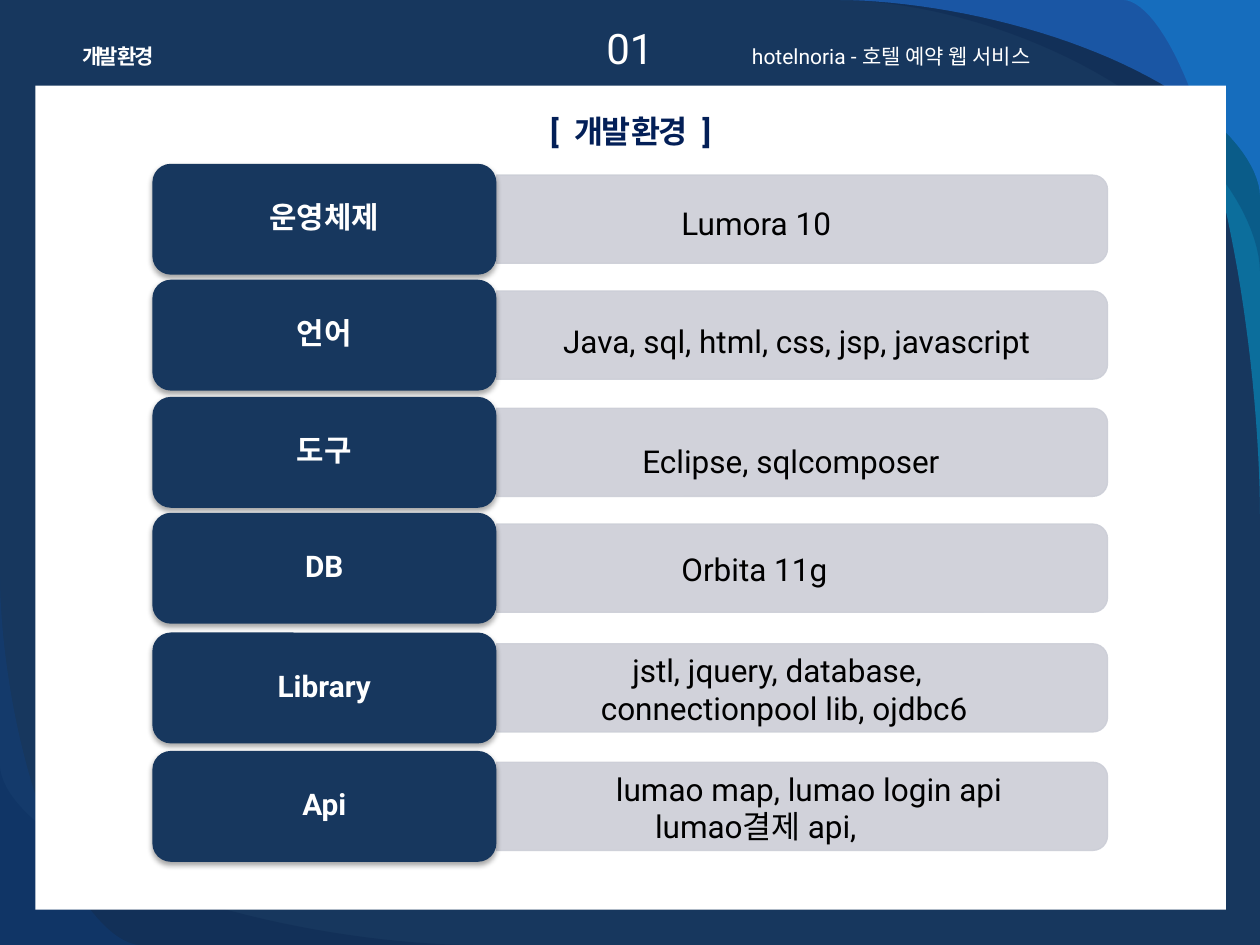
from dataclasses import dataclass
from math import cos, pi, sin

from lxml import etree
from pptx import Presentation
from pptx import util as u
from pptx.dml.color import RGBColor
from pptx.enum import shapes, text
from pptx.oxml.ns import qn


@dataclass(frozen=True)
class Theme:
    font: str = "Roboto"
    navy: str = "17375E"
    ink: str = "021741"
    title: str = "031F57"
    teal: str = "00B1E9"
    blue: str = "247FF4"
    royal: str = "084AA1"
    bar: str = "CCCED7"
    white: str = "FFFFFF"
    black: str = "000000"
    header_size: int = 12
    label_size: int = 17
    body_size: int = 18
    number_size: int = 24


THEME = Theme()
WIDTH, HEIGHT = 10, 7.5
CENTER = text.PP_ALIGN.CENTER
CURVE_POWER = 1.75
CURVE_STEPS = 40
TAB_LEFT, TAB_WIDTH, TAB_HEIGHT = 1.21, 2.73, 0.88
BAR_WIDTH, BAR_HEIGHT = 4.85, 0.7

# Corner x, corner y, width, height, colour, opacity in percent
SWEEPS = [
    (WIDTH, 0, 1.08, 4.08, THEME.teal, 45),
    (WIDTH, 0, 3.33, 2.15, THEME.ink, 20),
    (WIDTH, 0, 3.33, 1.55, THEME.blue, 49),
    (0, HEIGHT, 3.75, 1.42, THEME.ink, 20),
    (0, HEIGHT, 1.11, 2.92, THEME.royal, 20),
]

# Label, top of tab, place of the text, lines as (first-line indent, words)
ROWS = [
    ("운영체제", 1.3, (5.31, 1.57, 1.97, 0.4), [(0, "Lumora 10")]),
    ("언어", 2.22, (4.37, 2.51, 4.09, 0.4),
     [(0, "Java, sql, html, css, jsp, javascript")]),
    ("도구", 3.15, (5, 3.46, 2.6, 0.4), [(0, "Eclipse, sqlcomposer")]),
    ("DB", 4.07, (5.31, 4.32, 1.97, 0.4), [(0, "Orbita 11g")]),
    ("Library", 5.02, (4.67, 5.12, 3.54, 0.7),
     [(0.25, "jstl, jquery, database, connectionpool lib, ojdbc6")]),
    ("Api", 5.96, (4.67, 6.06, 3.79, 0.7),
     [(0.12, "lumao map, lumao login api"), (0.43, "lumao결제 api,")]),
]


def inches(*values):
    return [u.Inches(value) for value in values]


def set_format(target, values):
    for name, value in values.items():
        setattr(target, name, value)


def paint(fill, color, opacity=100):
    fill.solid()
    fill.fore_color.rgb = RGBColor.from_string(color)
    if opacity < 100:
        clear = fill._xPr.find(qn("a:solidFill"))[0]
        etree.SubElement(clear, qn("a:alpha"), val=str(opacity * 1000))


def style_shape(shape, color, opacity=100):
    shape.shadow.inherit = False
    shape.line.fill.background()
    paint(shape.fill, color, opacity)


def add_span(para, words, color, size, bold=False, spacing=0):
    span = para.add_run()
    span.text = words
    set_format(span.font, {"name": THEME.font, "size": u.Pt(size), "bold": bold})
    span.font.color.rgb = RGBColor.from_string(color)
    if spacing:
        span._r.get_or_add_rPr().set("spc", str(round(spacing * 100)))


def add_text_box(page, place, wrap=True):
    box = page.shapes.add_textbox(*inches(*place))
    set_format(box.text_frame, {
        "word_wrap": wrap,
        "auto_size": text.MSO_AUTO_SIZE.SHAPE_TO_FIT_TEXT,
    })
    return box.text_frame


def add_line_box(page, place, spans, align, wrap=True):
    """One line of text made of spans."""
    para = add_text_box(page, place, wrap).paragraphs[0]
    para.alignment = align
    for span in spans:
        add_span(para, *span)


def add_sweep(page, x, y, width, height, color, opacity):
    """A page corner cut off by a superelliptic curve."""
    across = width if x == 0 else -width
    down = height if y == 0 else -height
    points = []
    for step in range(CURVE_STEPS + 1):
        angle = step / CURVE_STEPS * pi / 2
        along = max(cos(angle), 0) ** (2 / CURVE_POWER)
        rise = sin(angle) ** (2 / CURVE_POWER)
        points.append(inches(x + across * (1 - along), y + down * (1 - rise)))
    builder = page.shapes.build_freeform(*inches(x, y))
    builder.add_line_segments(points, close=True)
    style_shape(builder.convert_to_shape(), color, opacity)


def add_bar(page, middle):
    """Grey bar: a shape with two round corners, turned to the right."""
    center = TAB_LEFT + TAB_WIDTH + BAR_WIDTH / 2
    bar = page.shapes.add_shape(
        shapes.MSO_SHAPE.ROUND_2_SAME_RECTANGLE,
        *inches(center - BAR_HEIGHT / 2, middle - BAR_WIDTH / 2,
                BAR_HEIGHT, BAR_WIDTH))
    bar.rotation = 90
    style_shape(bar, THEME.bar, 90)
    paint(bar.line.fill, THEME.bar, 90)
    bar.line.width = u.Pt(0.75)


def add_tab(page, top, label):
    tab = page.shapes.add_shape(
        shapes.MSO_SHAPE.ROUNDED_RECTANGLE,
        *inches(TAB_LEFT, top, TAB_WIDTH, TAB_HEIGHT))
    style_shape(tab, THEME.navy)
    effects = tab._element.spPr.find(qn("a:effectLst"))
    shadow = etree.SubElement(
        effects, qn("a:outerShdw"), blurRad=str(u.Pt(3.1)),
        dist=str(u.Pt(1.8)), dir="5400000", rotWithShape="0")
    shade = etree.SubElement(shadow, qn("a:srgbClr"), val=THEME.black)
    etree.SubElement(shade, qn("a:alpha"), val="35000")
    set_format(tab.text_frame, {
        "word_wrap": True, "vertical_anchor": text.MSO_ANCHOR.MIDDLE,
        "margin_left": u.Inches(0.07), "margin_right": u.Inches(0.07),
        "margin_top": u.Inches(0.04), "margin_bottom": u.Inches(0.04),
    })
    para = tab.text_frame.paragraphs[0]
    set_format(para, {"alignment": CENTER, "line_spacing": 0.9})
    add_span(para, label, THEME.white, THEME.label_size, True)


def add_row_text(page, place, lines):
    frame = add_text_box(page, place)
    for index, (indent, words) in enumerate(lines):
        para = frame.add_paragraph() if index else frame.paragraphs[0]
        para.alignment = text.PP_ALIGN.LEFT
        if indent:
            para._p.get_or_add_pPr().set("indent", str(u.Inches(indent)))
        add_span(para, words, THEME.black, THEME.body_size)


def add_header(page):
    small = (THEME.white, THEME.header_size)
    heading = (THEME.title, THEME.body_size, True)
    add_line_box(page, (4.41, 0.13, 1.18, 0.5),
                 [("01", THEME.white, THEME.number_size)], CENTER)
    # Wide letter spacing on the blanks sets the brackets apart
    add_line_box(page, (2.72, 0.84, 4.57, 0.4),
                 [("[", *heading, -1.5), (" ", *heading, 4.5),
                  ("개발 환경", *heading, -1.5), (" ", *heading, 4.5),
                  ("]", *heading, -1.5)], CENTER)
    add_line_box(page, (0.54, 0.3, 0.79, 0.3),
                 [("개발 환경", *small, True, -1.5)], CENTER, wrap=False)
    add_line_box(page, (5.87, 0.3, 3.94, 0.3),
                 [("hotelnoria - 호텔 예약 웹 서비스", *small)],
                 text.PP_ALIGN.JUSTIFY)


def main():
    deck = Presentation()
    deck.slide_width, deck.slide_height = inches(WIDTH, HEIGHT)
    page = deck.slides.add_slide(deck.slide_layouts[6])

    # Background and corner sweeps
    paint(page.background.fill, THEME.navy)
    for sweep in SWEEPS:
        add_sweep(page, *sweep)

    # White panel and header
    panel = page.shapes.add_shape(shapes.MSO_SHAPE.RECTANGLE,
                                  *inches(0.28, 0.68, 9.45, 6.54))
    style_shape(panel, THEME.white)
    add_header(page)

    # Environment rows
    for label, top, place, lines in ROWS:
        add_bar(page, top + TAB_HEIGHT / 2)
        add_tab(page, top, label)
        add_row_text(page, place, lines)

    deck.save("out.pptx")


if __name__ == "__main__":
    main()
